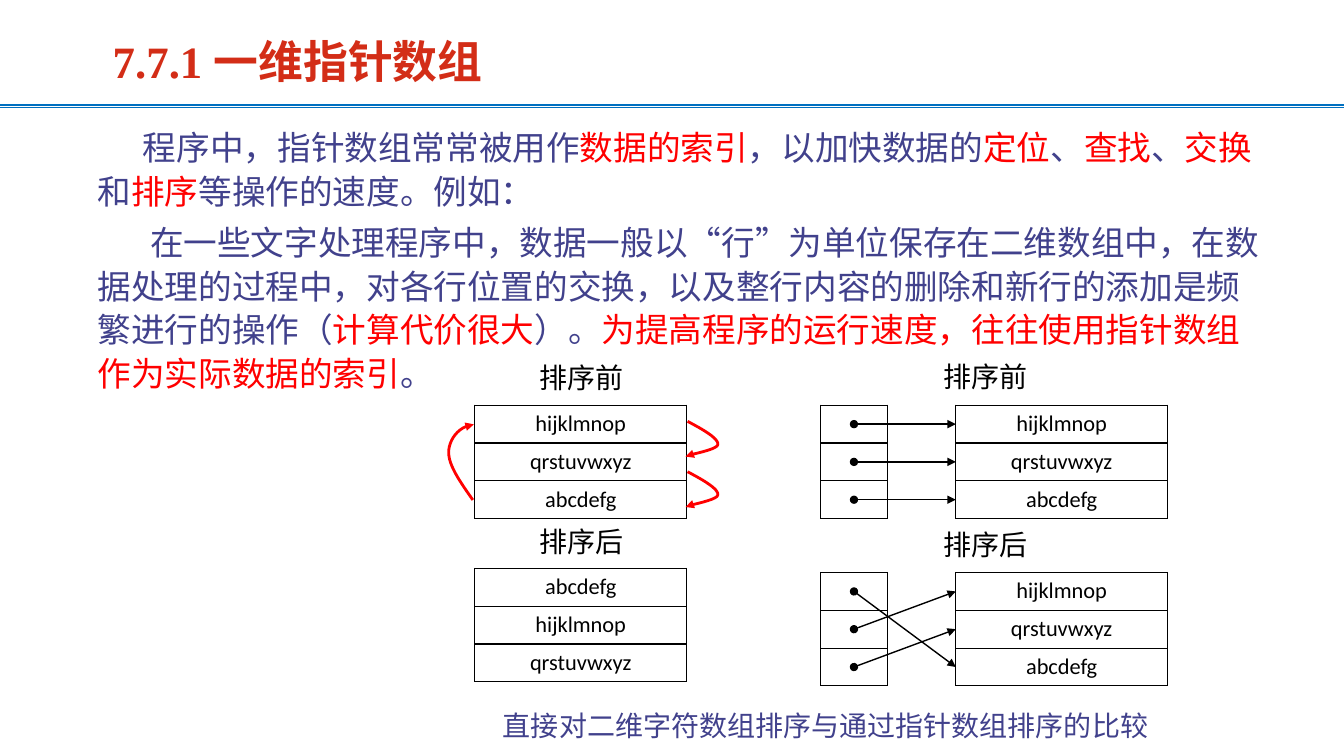
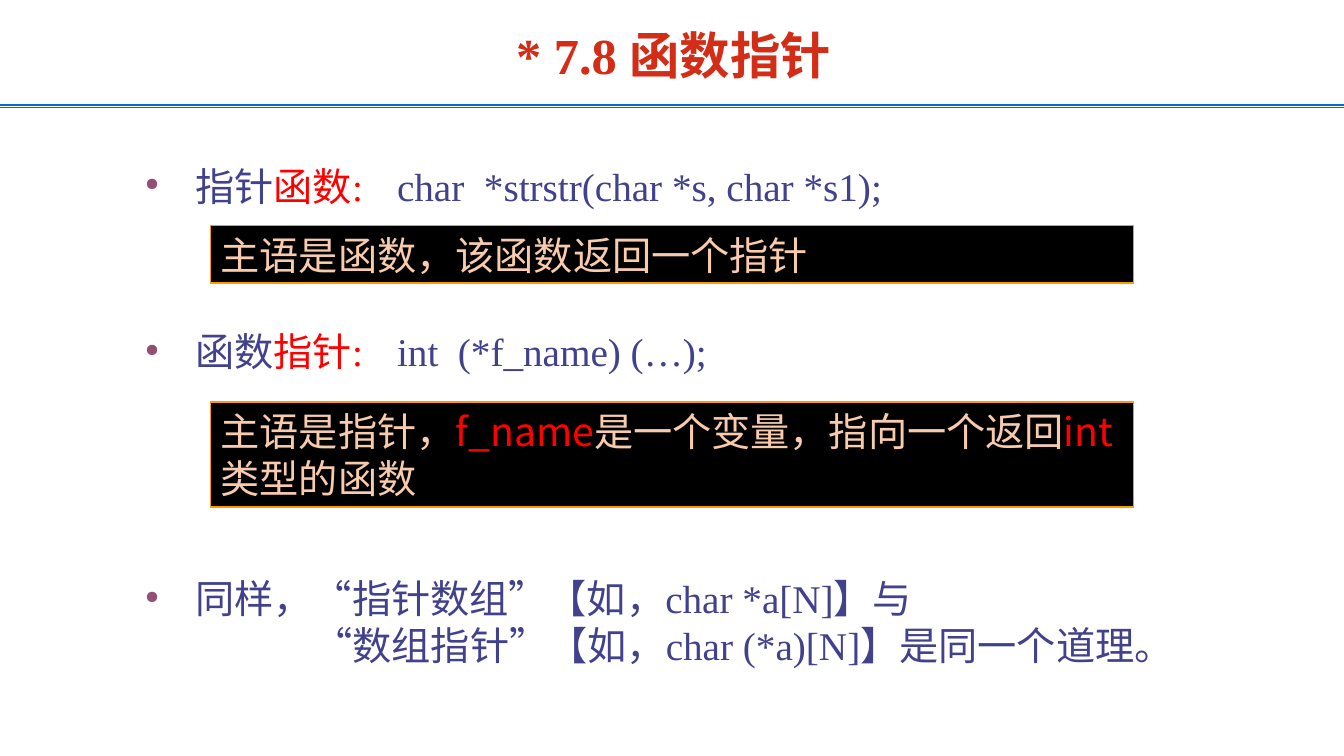
import lxml.etree
import pptx
import pptx.dml.color
import pptx.enum.shapes
import pptx.enum.text
import pptx.oxml.ns
import pptx.util

Inches = pptx.util.Inches
Pt = pptx.util.Pt
qn = pptx.oxml.ns.qn
ALIGN = pptx.enum.text.PP_ALIGN
ANCHOR = pptx.enum.text.MSO_ANCHOR

COLORS = {
    "title": "D32D17",
    "rule": "0070C0",
    "body": "41418C",
    "accent": "FF0000",
    "bullet": "954F72",
    "black": "000000",
    "note": "F8CBAD",
    "note_border": "FF9900",
}
SERIF, SANS, LABEL, CELL = "Times New Roman", "Noto Sans CJK SC", "Lato", "Calibri"
ROW_HEIGHT = 0.375
WORDS = ["hijklmnop", "qrstuvwxyz", "abcdefg"]


def color(name):
    return pptx.dml.color.RGBColor.from_string(COLORS[name])


def add_xml(parent, tag, **attributes):
    element = lxml.etree.SubElement(parent, qn(tag))
    for name, value in attributes.items():
        element.set(name, value)
    return element


def write(paragraph, text, size, font, text_color, bold=False, leading=1.2):
    paragraph.line_spacing = Pt(round(size * leading, 1))
    paragraph.font.name = font
    paragraph.font.size = Pt(size)
    paragraph.font.bold = bold
    paragraph.font.color.rgb = color(text_color)
    for index, part in enumerate(text.split("|")):
        if part:
            run = paragraph.add_run()
            run.text = part
            if index % 2:
                run.font.color.rgb = color("accent")


def indent(paragraph, left, first):
    properties = paragraph._p.get_or_add_pPr()
    properties.set("marL", str(Inches(left)))
    properties.set("indent", str(Inches(first)))
    return properties


def add_text_box(slide, left, top, width, height, anchor=ANCHOR.TOP):
    box = slide.shapes.add_textbox(Inches(left), Inches(top), Inches(width), Inches(height))
    box.text_frame.word_wrap = True
    box.text_frame.vertical_anchor = anchor
    return box.text_frame


def style_line(shape, line_color, width, head=None, tail=None):
    shape.line.color.rgb = color(line_color)
    shape.line.width = Pt(width)
    line = shape.element.spPr.get_or_add_ln()
    if head:
        add_xml(line, "a:headEnd", type=head)
    if tail:
        add_xml(line, "a:tailEnd", type=tail)


def add_line(slide, start, end, line_color, width, head=None, tail=None):
    connector = slide.shapes.add_connector(
        pptx.enum.shapes.MSO_CONNECTOR.STRAIGHT,
        *(Inches(value) for value in (*start, *end)))
    style_line(connector, line_color, width, head, tail)
    add_xml(connector.element.spPr, "a:effectLst")


def add_titled_slide(presentation, title, left, top, width, height, size):
    slide = presentation.slides.add_slide(presentation.slide_layouts[6])
    for y, line_width in ((1.07, 0.5), (1.04, 1.5)):
        add_line(slide, (0, y), (13.33, y), "rule", line_width)
    frame = add_text_box(slide, left, top, width, height, ANCHOR.BOTTOM)
    write(frame.paragraphs[0], title, size, SERIF, "title", bold=True)
    return slide


def add_column(slide, left, top, width, texts):
    frame = slide.shapes.add_table(
        len(texts), 1, Inches(left), Inches(top),
        Inches(width), Inches(ROW_HEIGHT * len(texts)))
    table = frame.table
    table.first_row = table.horz_banding = False
    for row, text in zip(table.rows, texts):
        row.height = Inches(ROW_HEIGHT)
        cell = row.cells[0]
        cell.vertical_anchor = ANCHOR.MIDDLE
        properties = cell._tc.get_or_add_tcPr()
        for side in ("a:lnL", "a:lnR", "a:lnT", "a:lnB"):
            border = add_xml(properties, side, w=str(Pt(1)))
            add_xml(add_xml(border, "a:solidFill"), "a:srgbClr", val=COLORS["black"])
        cell.fill.background()
        paragraph = cell.text_frame.paragraphs[0]
        paragraph.alignment = ALIGN.CENTER
        if text:
            write(paragraph, text, 16, CELL, "black")
        else:
            paragraph.font.size = Pt(12)
            add_xml(paragraph._p, "a:endParaRPr", sz="1200")


def add_label(slide, text, left, top):
    paragraph = add_text_box(slide, left, top, 1.95, 0.44).paragraphs[0]
    paragraph.alignment = ALIGN.CENTER
    write(paragraph, text, 20, LABEL, "black")


def add_direct_sort(slide, label, left, top, words):
    add_label(slide, label, left + 0.08, top - 0.49)
    add_column(slide, left, top, 2.1, words)


def add_pointer_sort(slide, label, left, top, targets):
    words_left = left + 1.34
    add_label(slide, label, left + 0.66, top - 0.5)
    add_column(slide, words_left, top, 2.1, WORDS)
    add_column(slide, left, top, 0.66, [""] * len(targets))
    for source, target in enumerate(targets):
        start, end = (top + ROW_HEIGHT * (row + 0.5) for row in (source, target))
        add_line(slide, (left + 0.33, start), (words_left, end),
                 "black", 1, "oval", "triangle")


def bezier(start, first, second, end, t):
    weights = ((1 - t) ** 3, 3 * t * (1 - t) ** 2, 3 * t * t * (1 - t), t ** 3)
    return tuple(
        Inches(sum(weight * point[axis] for weight, point
                   in zip(weights, (start, first, second, end))))
        for axis in (0, 1))


def add_curved_arrow(slide, left, top, knots, steps=12):
    knots = [(left + x, top + y) for x, y in knots]
    points = [bezier(*knots[i:i + 4], step / steps)
              for i in range(0, len(knots) - 1, 3)
              for step in range(1, steps + 1)]
    builder = slide.shapes.build_freeform(Inches(knots[0][0]), Inches(knots[0][1]))
    builder.add_line_segments(points, close=False)
    arrow = builder.convert_to_shape()
    arrow.shadow.inherit = False
    arrow.fill.background()
    style_line(arrow, "accent", 2, tail="triangle")


def add_intro(slide, left, top, width, height):
    frame = add_text_box(slide, left, top, width, height)
    texts = [
        (0.45, "程序中，指针数组常常被用作|数据的索引|，以加快数据的|定位|、|查找|、|交换|"
               "和|排序|等操作的速度。例如："),
        (0.52, "在一些文字处理程序中，数据一般以“行”为单位保存在二维数组中，在数据处理的过程中，"
               "对各行位置的交换，以及整行内容的删除和新行的添加是频繁进行的操作（|计算代价很大|）。"
               "|为提高程序的运行速度，往往使用指针数组作为实际数据的索引|。"),
    ]
    for index, (first, text) in enumerate(texts):
        paragraph = frame.add_paragraph() if index else frame.paragraphs[0]
        paragraph.space_before = Pt(5)
        indent(paragraph, 0, first)
        write(paragraph, text, 24, SERIF, "body", leading=1.31)


def add_bullet(slide, left, top, width, text, continuation=None):
    frame = add_text_box(slide, left, top, width, 1.03 if continuation else 0.57)
    paragraph = frame.paragraphs[0]
    paragraph.line_spacing = Pt(33.6)
    properties = indent(paragraph, 0.5, -0.5)
    add_xml(add_xml(properties, "a:buClr"), "a:srgbClr", val=COLORS["bullet"])
    add_xml(properties, "a:buSzPct", val="45000")
    add_xml(properties, "a:buChar", char="●")
    write(paragraph, text, 28, SERIF, "body")
    if continuation:
        paragraph = frame.add_paragraph()
        indent(paragraph, 1.67, 0)
        write(paragraph, continuation, 28, SERIF, "body")


def add_note(slide, left, top, width, height, text):
    note = slide.shapes.add_shape(
        pptx.enum.shapes.MSO_SHAPE.RECTANGLE,
        Inches(left), Inches(top), Inches(width), Inches(height))
    note.shadow.inherit = False
    note.fill.solid()
    note.fill.fore_color.rgb = color("black")
    style_line(note, "note_border", 1)
    note.text_frame.word_wrap = True
    paragraph = note.text_frame.paragraphs[0]
    paragraph.alignment = ALIGN.LEFT
    write(paragraph, text, 28, SANS, "note")


def build_pointer_array_slide(presentation):
    slide = add_titled_slide(presentation, "7.7.1 一维指针数组", 1.02, 0.29, 9, 0.63, 32)
    add_intro(slide, 0.87, 1.17, 11.74, 2.84)
    add_direct_sort(slide, "排序前", 4.71, 4.02, WORDS)
    add_direct_sort(slide, "排序后", 4.71, 5.64, WORDS[2:] + WORDS[:2])
    add_pointer_sort(slide, "排序前", 8.14, 4.02, [0, 1, 2])
    add_pointer_sort(slide, "排序后", 8.14, 5.68, [2, 0, 1])
    caption = add_text_box(slide, 4.89, 6.98, 7, 0.44)
    write(caption.paragraphs[0], "直接对二维字符数组排序与通过指针数组排序的比较", 20, SANS, "body")
    move_down = [(0, 0), (0.15, 0.08), (0.31, 0.17), (0.3, 0.23),
                 (0.3, 0.29), (-0.1, 0.35), (-0.02, 0.35)]
    move_up = [(0, 0), (-0.12, -0.17), (-0.24, -0.34), (-0.24, -0.47),
               (-0.24, -0.59), (-0.15, -0.73), (0.01, -0.75)]
    for left, top, knots in ((6.82, 4.18, move_down), (6.82, 4.68, move_down),
                             (4.69, 4.96, move_up)):
        add_curved_arrow(slide, left, top, knots)


def build_function_pointer_slide(presentation):
    slide = add_titled_slide(presentation, "* 7.8 函数指针", 5.02, 0.15, 4.29, 0.74, 36)
    add_bullet(slide, 1.34, 1.56, 9.67, "指针|函数: \t|char  *strstr(char *s, char *s1);")
    add_note(slide, 2.09, 2.24, 9.15, 0.57, "主语是函数，该函数返回一个指针")
    add_bullet(slide, 1.34, 3.2, 9.67, "函数|指针:\t|int  (*f_name) (…);")
    add_note(slide, 2.09, 3.99, 9.15, 1.04,
             "主语是指针，|f_name|是一个变量，指向一个返回|int|类型的函数")
    add_bullet(slide, 1.34, 5.65, 10.68, "同样，“指针数组”【如，char *a[N]】与",
               "“数组指针”【如，char (*a)[N]】是同一个道理。")


def main():
    presentation = pptx.Presentation()
    presentation.slide_width = Inches(13.33)
    presentation.slide_height = Inches(7.5)
    build_pointer_array_slide(presentation)
    build_function_pointer_slide(presentation)
    presentation.save("out.pptx")


if __name__ == "__main__":
    main()
